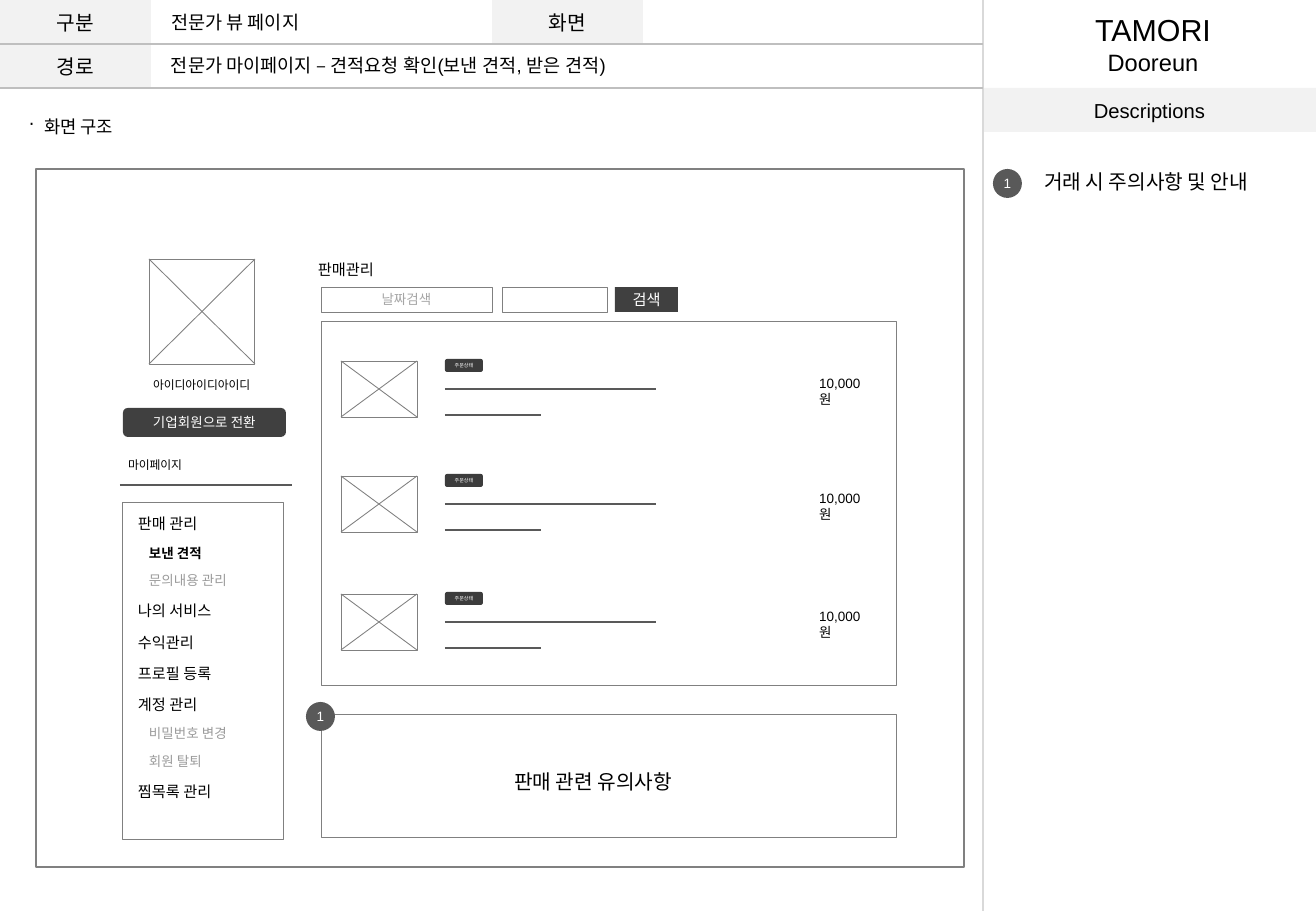
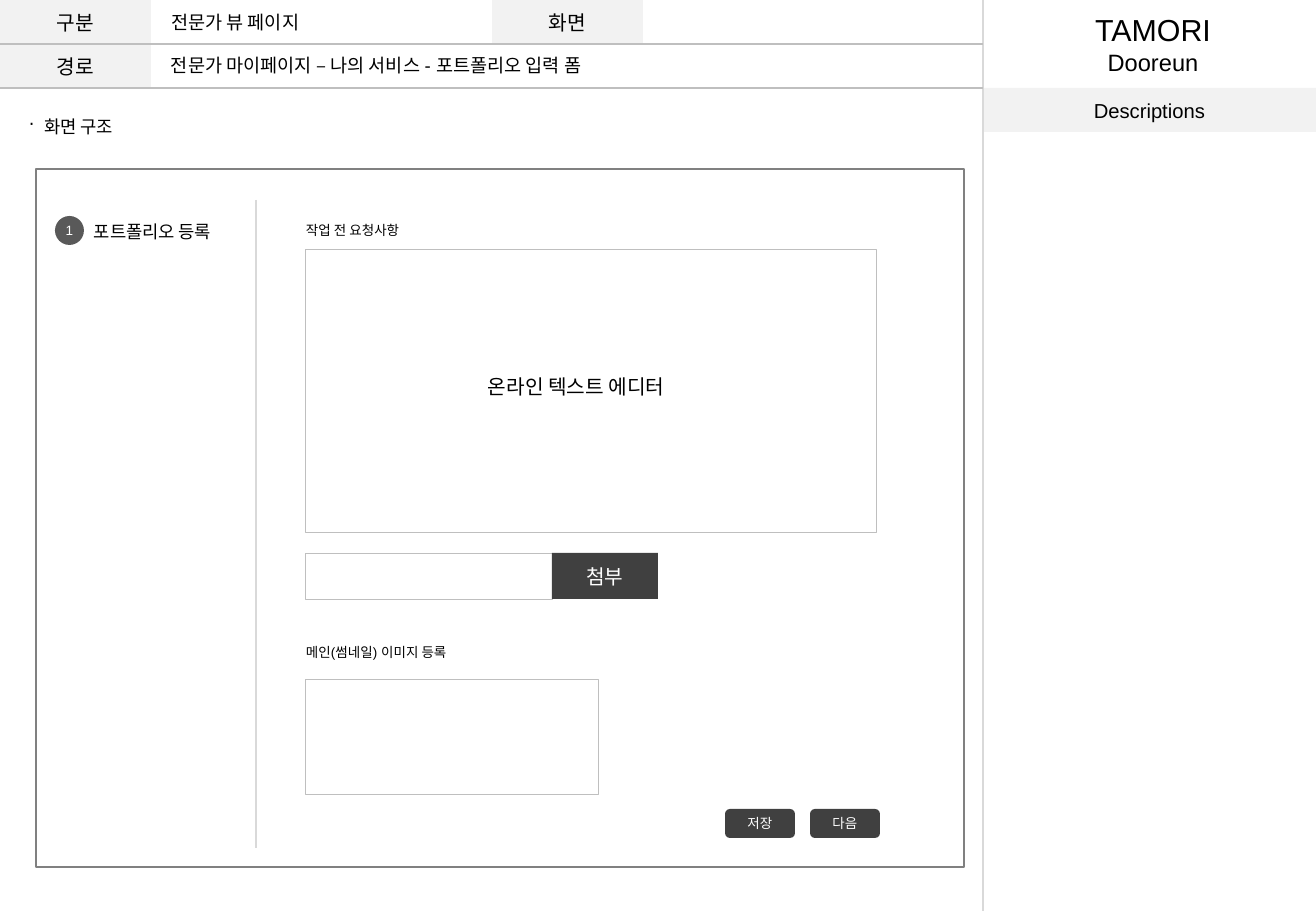
"""Build two wireframe slides of an expert's page: quote requests and portfolio form."""
import pptx
import pptx.util
import pptx.dml.color
import pptx.enum.shapes
import pptx.enum.text
import pptx.oxml.ns
from lxml import etree

PX = 7526
FONT = "Arial"
HUE = {"ink": "000000", "white": "FFFFFF", "band": "F2F2F2", "dark": "404040",
       "pill": "3C3C3C", "badge": "595959", "edge": "808080", "rule": "BFBFBF",
       "pale": "D9D9D9", "hint": "A6A6A6", "sub": "9B9B9B"}
KIND = pptx.enum.shapes.MSO_SHAPE
ALIGN = pptx.enum.text.PP_ALIGN
ANCHOR = pptx.enum.text.MSO_ANCHOR

PAGE = "전문가 뷰 페이지"
BRAND = [("TAMORI", 18), ("Dooreun", 14)]
BANDS = [("구분", 0, 0, 151), ("화면", 492, 0, 151), ("경로", 0, 44, 151),
         ("Descriptions", 983, 88, 333)]
RULES = [(983, 0, 983, 911, "pale"), (0, 44, 983, 44, "rule"), (0, 88, 983, 88, "rule")]

QUOTE = "전문가 마이페이지 – 견적요청 확인(보낸 견적, 받은 견적)"
MENU = [("판매 관리", 0, "ink"), ("보낸 견적", 1, "ink"), ("문의내용 관리", 1, "sub"),
        ("나의 서비스", 0, "ink"), ("수익관리", 0, "ink"), ("프로필 등록", 0, "ink"),
        ("계정 관리", 0, "ink"), ("비밀번호 변경", 1, "sub"), ("회원 탈퇴", 1, "sub"),
        ("찜목록 관리", 0, "ink")]
CHOSEN = "보낸 견적"
ORDERS = [(361, "주문상태", "10,000원"), (476, "주문상태", "10,000원"),
          (594, "주문상태", "10,000원")]
QUOTE_TEXT = [("거래 시 주의사항 및 안내", 1032, 163, 270, 12),
              ("아이디아이디아이디", 141, 372, 162, 7),
              ("판매관리", 306, 254, 120, 9),
              ("마이페이지", 116, 452, 120, 7),
              ("판매 관련 유의사항", 502, 763, 240, 12)]

FORM = "전문가 마이페이지 – 나의 서비스 - 포트폴리오 입력 폼"
FORM_TEXT = [("포트폴리오 등록", 82, 215, 170, 10.5),
             ("작업 전 요청사항", 294, 216, 170, 8),
             ("온라인 텍스트 에디터", 476, 368, 240, 12),
             ("메인(썸네일) 이미지 등록", 294, 638, 170, 8)]
FIELDS = [(305, 249, 571, 283), (305, 553, 247, 46), (305, 679, 293, 115)]
STEPS = ["저장", "다음"]


def tint(name):
    return pptx.dml.color.RGBColor.from_string(HUE[name])


def place(shape, x, y, w, h):
    shape.left, shape.top, shape.width, shape.height = (v * PX for v in (x, y, w, h))


def pad(frame, left=0, top=0):
    frame.margin_left = frame.margin_right = left * PX
    frame.margin_top = frame.margin_bottom = top * PX
    frame.word_wrap = True
    frame.auto_size = pptx.enum.text.MSO_AUTO_SIZE.NONE


def style(para, size, hue="ink", align=ALIGN.LEFT):
    para.alignment = align
    para.font.name = FONT
    para.font.size = pptx.util.Pt(size)
    para.font.color.rgb = tint(hue)


def bullet(para, indent=0, mark=None):
    props = para._p.get_or_add_pPr()
    props.set("marL", str(indent * PX))
    props.set("indent", str(-indent * PX if mark else 0))
    tag = pptx.oxml.ns.qn("a:buChar" if mark else "a:buNone")
    item = etree.SubElement(props, tag)
    if mark:
        item.set("char", mark)


def say(slide, text, x, y, w, size):
    box = slide.shapes.add_textbox(x * PX, y * PX, w * PX, 36 * PX)
    pad(box.text_frame, 12, 6)
    para = box.text_frame.paragraphs[0]
    para.text = text
    style(para, size)
    return para


def block(slide, x, y, w, h, fill=None, edge=None, text="", size=8, hue="white",
          kind=KIND.RECTANGLE, width=0.5):
    shape = slide.shapes.add_shape(kind, x * PX, y * PX, w * PX, h * PX)
    shape.shadow.inherit = False
    if fill:
        shape.fill.solid()
        shape.fill.fore_color.rgb = tint(fill)
    else:
        shape.fill.background()
    if edge:
        shape.line.color.rgb = tint(edge)
        shape.line.width = pptx.util.Pt(width)
    else:
        shape.line.fill.background()
    if text:
        pad(shape.text_frame)
        shape.text_frame.vertical_anchor = ANCHOR.MIDDLE
        para = shape.text_frame.paragraphs[0]
        para.text = text
        style(para, size, hue, ALIGN.CENTER)


def rule(slide, x1, y1, x2, y2, hue="badge", width=0.75):
    line = slide.shapes.add_connector(pptx.enum.shapes.MSO_CONNECTOR.STRAIGHT,
                                      x1 * PX, y1 * PX, x2 * PX, y2 * PX)
    line.line.color.rgb = tint(hue)
    line.line.width = pptx.util.Pt(width)
    etree.SubElement(line._element.spPr, pptx.oxml.ns.qn("a:effectLst"))


def cross(slide, x, y, w, h):
    block(slide, x, y, w, h, edge="edge")
    rule(slide, x, y + h, x + w, y, "edge", 0.5)
    rule(slide, x, y, x + w, y + h, "edge", 0.5)


def badge(slide, x, y):
    block(slide, x, y, 29, 29, "badge", text="1", kind=KIND.OVAL)


def button(slide, text, x, y, w, h=29, fill="dark", size=8):
    block(slide, x, y, w, h, fill, text=text, size=size, kind=KIND.ROUNDED_RECTANGLE)


def start(deck, layout, route):
    slide = deck.slides.add_slide(deck.slide_layouts[layout])
    title = slide.shapes.title
    place(title, 159, 5, 320, 36)
    pad(title.text_frame, 12, 6)
    title.text_frame.vertical_anchor = ANCHOR.TOP
    title.text_frame.text = PAGE
    style(title.text_frame.paragraphs[0], 11)
    for text, x, y, w in BANDS:
        block(slide, x, y, w, 44, "band", text=text, size=12, hue="ink")
    for line in RULES:
        rule(slide, *line)
    brand = slide.shapes.add_textbox(1053 * PX, 5 * PX, 200 * PX, 77 * PX).text_frame
    pad(brand, 12, 6)
    for i, (text, size) in enumerate(BRAND):
        para = brand.add_paragraph() if i else brand.paragraphs[0]
        para.text = text
        style(para, size, align=ALIGN.CENTER)
    say(slide, route, 159, 48, 810, 11)
    head = say(slide, "화면 구조", 17, 110, 200, 10.5)
    bullet(head, 15, "·")
    block(slide, 36, 169, 928, 698, edge="edge", width=1)
    return slide


def menu(slide):
    body = slide.placeholders[1]
    place(body, 122, 502, 161, 337)
    body.line.color.rgb = tint("edge")
    body.line.width = pptx.util.Pt(0.5)
    frame = body.text_frame
    pad(frame, 16, 9)
    frame.vertical_anchor = ANCHOR.TOP
    for i, (text, level, hue) in enumerate(MENU):
        para = frame.add_paragraph() if i else frame.paragraphs[0]
        para.text = text
        para.level = level
        para.line_spacing = pptx.util.Pt(13)
        para.space_before = pptx.util.Pt((3.5 if level else 5.5) if i else 0)
        para.space_after = pptx.util.Pt(0)
        bullet(para, level * 11)
        style(para, 8 if level else 9, hue)
        para.font.bold = text == CHOSEN


def quotes(deck):
    slide = start(deck, 1, QUOTE)
    cross(slide, 149, 259, 106, 105)
    button(slide, "기업회원으로 전환", 123, 408, 163)
    rule(slide, 120, 485, 292, 485)
    menu(slide)
    block(slide, 321, 714, 575, 124, edge="edge")
    block(slide, 321, 321, 575, 364, edge="edge")
    block(slide, 321, 287, 171, 25, edge="edge", text="날짜검색", hue="hint")
    block(slide, 502, 287, 106, 25, edge="edge")
    block(slide, 615, 287, 63, 25, "dark", text="검색", size=9)
    for y, state, price in ORDERS:
        cross(slide, 341, y, 76, 56)
        button(slide, state, 445, y - 2, 38, 13, "pill", 3)
        rule(slide, 445, y + 28, 656, y + 28)
        rule(slide, 445, y + 54, 541, y + 54)
        say(slide, price, 807, y + 8, 72, 8)
    for item in QUOTE_TEXT:
        say(slide, *item)
    badge(slide, 993, 169)
    badge(slide, 306, 702)


def form(deck):
    slide = start(deck, 5, FORM)
    badge(slide, 55, 216)
    rule(slide, 256, 200, 256, 848, "pale")
    for field in FIELDS:
        block(slide, *field, edge="rule", width=0.25)
    block(slide, 552, 553, 106, 46, "dark", text="첨부", size=12)
    for i, text in enumerate(STEPS):
        button(slide, text, 725 + 85 * i, 809, 70)
    for item in FORM_TEXT:
        say(slide, *item)


def main():
    deck = pptx.Presentation()
    deck.slide_width, deck.slide_height = 1316 * PX, 911 * PX
    quotes(deck)
    form(deck)
    deck.save("out.pptx")


if __name__ == "__main__":
    main()
